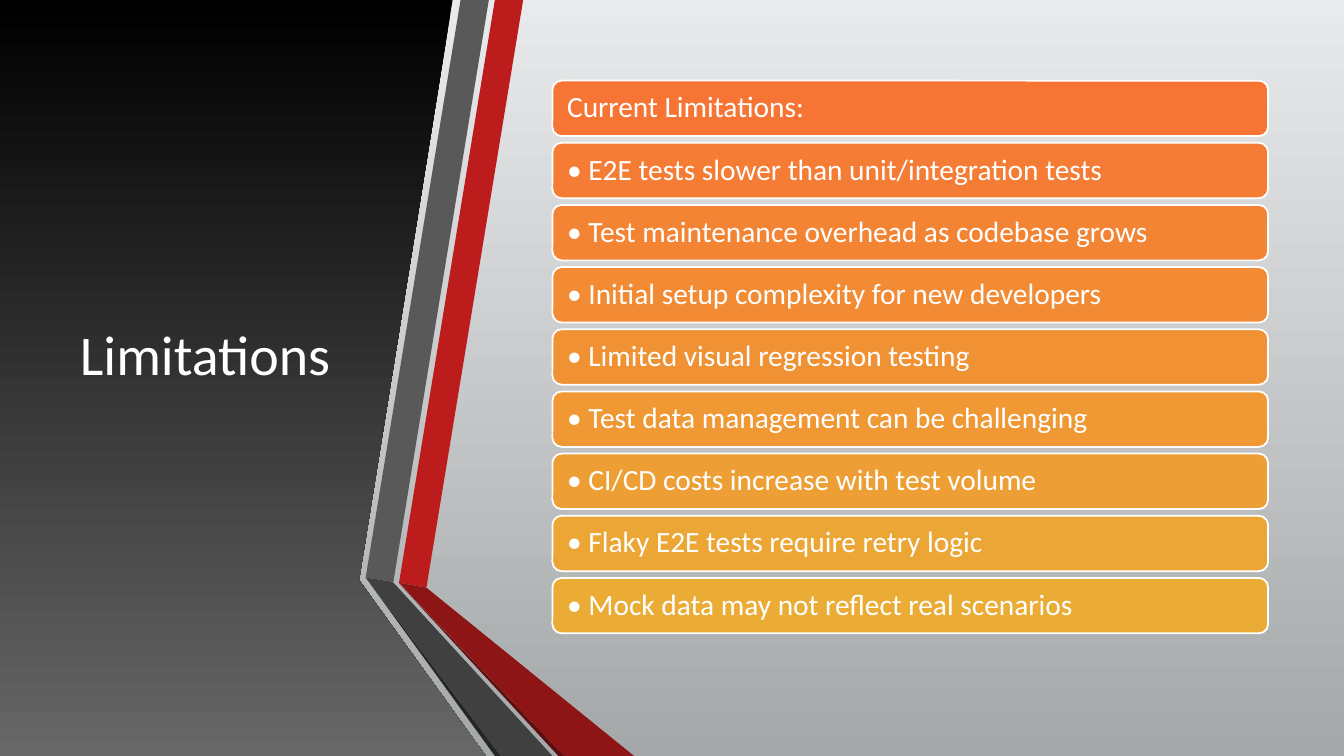
from dataclasses import dataclass

from pptx import Presentation
from pptx import util as u
from pptx.dml.color import RGBColor
from pptx.enum import shapes, text


@dataclass(frozen=True)
class Theme:
    font: str = "Calibri"
    title_size: int = 40
    bar_size: int = 21
    white: str = "FFFFFF"
    backdrop: tuple = ("E9EAEB", "A5A8A9")
    panel: tuple = ("000000", "676767")
    red: str = "BC1C1C"
    red_dark: str = "8D1515"
    red_edge: str = "5E0E0E"
    gray: str = "595959"
    gray_dark: str = "404040"
    gray_edge: str = "262626"
    bars: tuple = ("F67534", "F57C34", "F38434", "F28B34", "F09234",
                   "EF9834", "ED9F35", "ECA635", "EAAC35")


class SlideBuilder:
    def __init__(self, page, theme):
        self.page = page
        self.theme = theme

    def paint(self, fill, colour):
        if isinstance(colour, str):
            fill.solid()
            fill.fore_color.rgb = RGBColor.from_string(colour)
            return
        fill.gradient()
        fill.gradient_angle = 270
        for stop, shade in zip(fill.gradient_stops, colour):
            stop.color.rgb = RGBColor.from_string(shade)

    def background(self, colour):
        self.paint(self.page.background.fill, colour)

    def block(self, kind, left, top, width, height, colour):
        box = self.page.shapes.add_shape(
            kind, u.Pt(left), u.Pt(top), u.Pt(width), u.Pt(height))
        box.shadow.inherit = False
        self.paint(box.fill, colour)
        box.line.fill.background()
        return box

    def outline(self, points, colour):
        corners = [(u.Pt(x), u.Pt(y)) for x, y in points]
        builder = self.page.shapes.build_freeform(*corners[0])
        builder.add_line_segments(corners[1:], close=True)
        box = builder.convert_to_shape()
        box.shadow.inherit = False
        self.paint(box.fill, colour)
        box.line.fill.background()

    def label(self, box, words, size, alignment):
        frame = box.text_frame
        frame.word_wrap = True
        frame.vertical_anchor = text.MSO_ANCHOR.MIDDLE
        para = frame.paragraphs[0]
        para.alignment = alignment
        para.line_spacing = 0.9
        span = para.add_run()
        span.text = words
        span.font.name = self.theme.font
        span.font.size = u.Pt(size)
        span.font.color.rgb = RGBColor.from_string(self.theme.white)

    def title(self, words, left, top, width, height):
        box = self.page.shapes.add_textbox(
            u.Pt(left), u.Pt(top), u.Pt(width), u.Pt(height))
        self.label(box, words, self.theme.title_size, text.PP_ALIGN.CENTER)

    def bar(self, words, left, top, width, height, colour):
        box = self.block(shapes.MSO_SHAPE.ROUNDED_RECTANGLE,
                         left, top, width, height, colour)
        box.line.color.rgb = RGBColor.from_string(self.theme.white)
        box.line.width = u.Pt(1.25)
        frame = box.text_frame
        frame.margin_left = frame.margin_right = u.Pt(8.6)
        frame.margin_top = frame.margin_bottom = u.Pt(0)
        self.label(box, words, self.theme.bar_size, text.PP_ALIGN.LEFT)


LIMITATIONS = (
    "Current Limitations:",
    "• E2E tests slower than unit/integration tests",
    "• Test maintenance overhead as codebase grows",
    "• Initial setup complexity for new developers",
    "• Limited visual regression testing",
    "• Test data management can be challenging",
    "• CI/CD costs increase with test volume",
    "• Flaky E2E tests require retry logic",
    "• Mock data may not reflect real scenarios",
)


def main():
    theme = Theme()
    deck = Presentation()
    deck.slide_width, deck.slide_height = u.Pt(960), u.Pt(540)
    page = deck.slides.add_slide(deck.slide_layouts[6])
    slide = SlideBuilder(page, theme)

    slide.background(theme.backdrop)
    slide.block(shapes.MSO_SHAPE.RECTANGLE, 0, 0, 960, 540, theme.backdrop)
    slide.outline([(0, 0), (323.3, 0), (256.5, 414.4), (347, 540), (0, 540)],
                  theme.panel)
    slide.title("Limitations", 42.5, 54, 208, 402)

    ribbons = (
        (theme.red, [(285, 416.3), (304.6, 419.8), (373.7, 0), (353.5, 0)]),
        (theme.gray, [(349.2, 0), (329, 0), (261.2, 412.5), (281, 415.6)]),
        (theme.gray_edge, [(261.2, 412.5), (353.5, 540), (357.8, 540)]),
        (theme.red_edge, [(285, 416.6), (398.9, 540), (403.2, 540)]),
        (theme.red_dark, [(285, 416.3), (403.2, 540), (452.9, 540),
                          (304.6, 419.8)]),
        (theme.gray_dark, [(394.6, 540), (284.4, 419.8), (280.4, 415.6),
                           (261.2, 412.5), (357.8, 540)]),
    )
    for colour, points in ribbons:
        slide.outline(points, colour)

    first_top, pitch = 57.6, 44.4
    for row, (words, colour) in enumerate(zip(LIMITATIONS, theme.bars)):
        slide.bar(words, 394.6, first_top + row * pitch, 511.2, 39.6, colour)

    deck.save("out.pptx")


if __name__ == "__main__":
    main()
